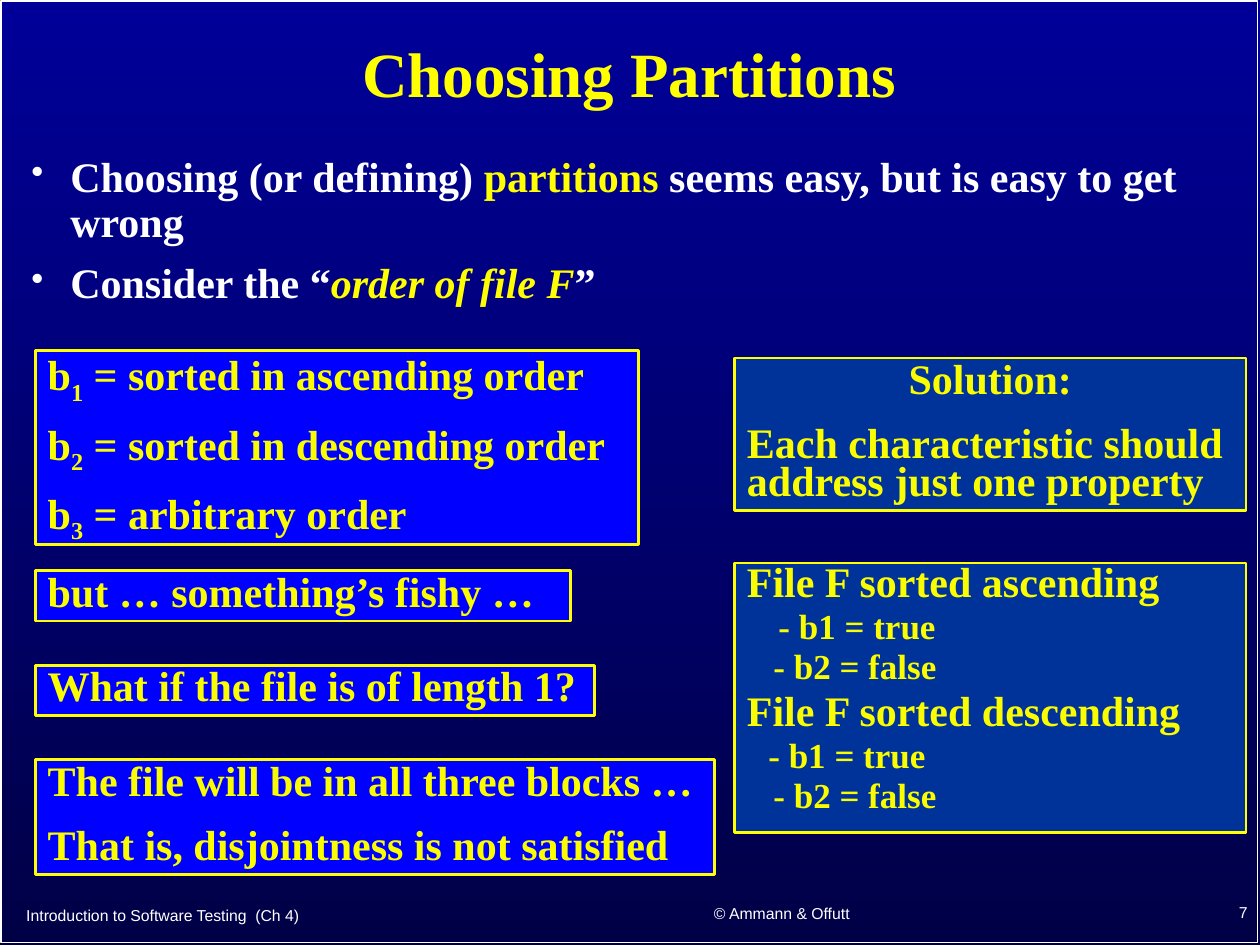
from lxml.etree import SubElement
from pptx import Presentation
from pptx.dml.color import RGBColor
from pptx.enum.shapes import MSO_SHAPE as Shape
from pptx.enum.text import MSO_ANCHOR as Anchor, MSO_AUTO_SIZE as AutoSize, PP_ALIGN as Align
from pptx.oxml.ns import qn
from pptx.util import Inches, Pt

WHITE, YELLOW, TEXT_YELLOW = "FFFFFF", "FFFF00", "FAFD00"
BLUE, NAVY = "0000FF", "003399"
SERIF, SANS = "Times New Roman", "Arial"


def rgb(value):
    return RGBColor.from_string(value)


class SlideBuilder:
    def __init__(self, slide):
        self.slide = slide

    def background(self, top, bottom):
        fill = self.slide.background.fill
        fill.gradient()
        fill.gradient_angle = 270
        for stop, color, position in zip(fill.gradient_stops, (top, bottom), (0, 1)):
            stop.color.rgb = rgb(color)
            stop.position = position

    def rectangle(self, left, top, width, height, fill=None, line=YELLOW, weight=1.5):
        shape = self.slide.shapes.add_shape(
            Shape.RECTANGLE, Inches(left), Inches(top), Inches(width), Inches(height))
        shape.shadow.inherit = False
        if fill:
            shape.fill.solid()
            shape.fill.fore_color.rgb = rgb(fill)
        else:
            shape.fill.background()
        shape.line.color.rgb = rgb(line)
        shape.line.width = Pt(weight)
        return shape

    def text_box(self, left, top, width, height, anchor=Anchor.MIDDLE):
        shape = self.slide.shapes.add_textbox(
            Inches(left), Inches(top), Inches(width), Inches(height))
        shape.text_frame.word_wrap = True
        shape.text_frame.vertical_anchor = anchor
        return shape.text_frame

    def paragraph(self, text_frame, runs, size=24, color=TEXT_YELLOW, font=SERIF, bold=True,
                  align=Align.LEFT, spacing=1.0, before=0, indent=0, bullet=None):
        first = not text_frame.text
        paragraph = text_frame.paragraphs[0] if first else text_frame.add_paragraph()
        paragraph.alignment = align
        paragraph.line_spacing = spacing
        paragraph.space_before = Pt(0 if first else before)
        properties = paragraph._p.get_or_add_pPr()
        if indent:
            properties.set("marL", str(Inches(indent)))
        if bullet:
            properties.set("indent", str(-Inches(indent)))
            SubElement(SubElement(properties, qn("a:buClr")), qn("a:srgbClr"), val=color)
            SubElement(properties, qn("a:buSzPct"), val="85000")
            SubElement(properties, qn("a:buChar"), char=bullet)
        for text, changes in [(runs, {})] if isinstance(runs, str) else runs:
            run = paragraph.add_run()
            run.text = text
            run.font.name = font
            run.font.size = Pt(size)
            run.font.bold = bold
            run.font.italic = changes.get("italic", False)
            run.font.color.rgb = rgb(changes.get("color", color))
            if "baseline" in changes:
                run.font._element.set("baseline", str(changes["baseline"]))

    def panel(self, left, top, width, height, fill):
        text_frame = self.rectangle(left, top, width, height, fill).text_frame
        text_frame.word_wrap = True
        text_frame.vertical_anchor = Anchor.TOP
        text_frame.auto_size = AutoSize.SHAPE_TO_FIT_TEXT
        return text_frame

    def statements(self, left, top, width, height, fill, lines):
        text_frame = self.panel(left, top, width, height, fill)
        for runs, align in lines:
            self.paragraph(text_frame, runs, align=align, spacing=0.75, before=15)

    def footer(self, left, top, width, height, text, align):
        self.paragraph(self.text_box(left, top, width, height), text, size=9,
                       color=WHITE, font=SANS, bold=False, align=align)


def main():
    presentation = Presentation()
    presentation.slide_width, presentation.slide_height = Inches(10), Inches(7.5)
    slide = presentation.slides.add_slide(presentation.slide_layouts[6])
    builder = SlideBuilder(slide)
    builder.background("000099", "000047")
    builder.rectangle(0.01, 0.01, 9.97, 7.47, line=WHITE, weight=1)

    builder.paragraph(builder.text_box(0.15, 0.11, 9.69, 1), "Choosing Partitions",
                      size=36, color=YELLOW, align=Align.CENTER, spacing=0.9)

    bullets = [
        [("Choosing (or defining) ", {}), ("partitions", {"color": YELLOW}),
         (" seems easy, but is easy to get wrong", {})],
        [("Consider the “", {}), ("order of file F", {"color": YELLOW, "italic": True}),
         ("”", {})],
    ]
    body = builder.text_box(0.15, 1.19, 9.7, 1.62, Anchor.TOP)
    for runs in bullets:
        builder.paragraph(body, runs, color=WHITE, spacing=0.9, before=9,
                          indent=0.31, bullet="•")

    orders = ["ascending order", "descending order"]
    meanings = [f"sorted in {order}" for order in orders] + ["arbitrary order"]
    blocks = [[("b", {}), (str(number), {"baseline": -25000}), (f" = {meaning}", {})]
              for number, meaning in enumerate(meanings, 1)]
    left_panels = [
        (2.78, 4.79, 1.54, blocks),
        (4.53, 4.25, 0.4, ["but … something’s fishy …"]),
        (5.28, 4.44, 0.4, ["What if the file is of length 1?"]),
        (6.03, 5.39, 0.91, ["The file will be in all three blocks …",
                            "That is, disjointness is not satisfied"]),
    ]
    for top, width, height, lines in left_panels:
        builder.statements(0.28, top, width, height, BLUE,
                           [(line, Align.LEFT) for line in lines])

    builder.statements(5.83, 2.84, 4.06, 1.21, NAVY, [
        ("Solution:", Align.CENTER),
        ("Each characteristic should address just one property", Align.LEFT),
    ])

    examples = builder.panel(5.83, 4.47, 4.06, 2.14, NAVY)
    for order, indent in (("ascending", 0.25), ("descending", 0.17)):
        builder.paragraph(examples, f"File F sorted {order}", spacing=0.7, before=7.5)
        for text, margin in (("- b1 = true", indent), ("- b2 = false", 0.21)):
            builder.paragraph(examples, text, size=20, spacing=0.7, before=6.2, indent=margin)

    builder.footer(0.11, 7.07, 4.31, 0.38, "Introduction to Software Testing  (Ch 4)", Align.LEFT)
    builder.footer(4.62, 7.05, 3.17, 0.39, "© Ammann & Offutt", Align.CENTER)
    builder.footer(7.92, 7.04, 2.08, 0.4, "7", Align.RIGHT)
    presentation.save("out.pptx")


if __name__ == "__main__":
    main()
